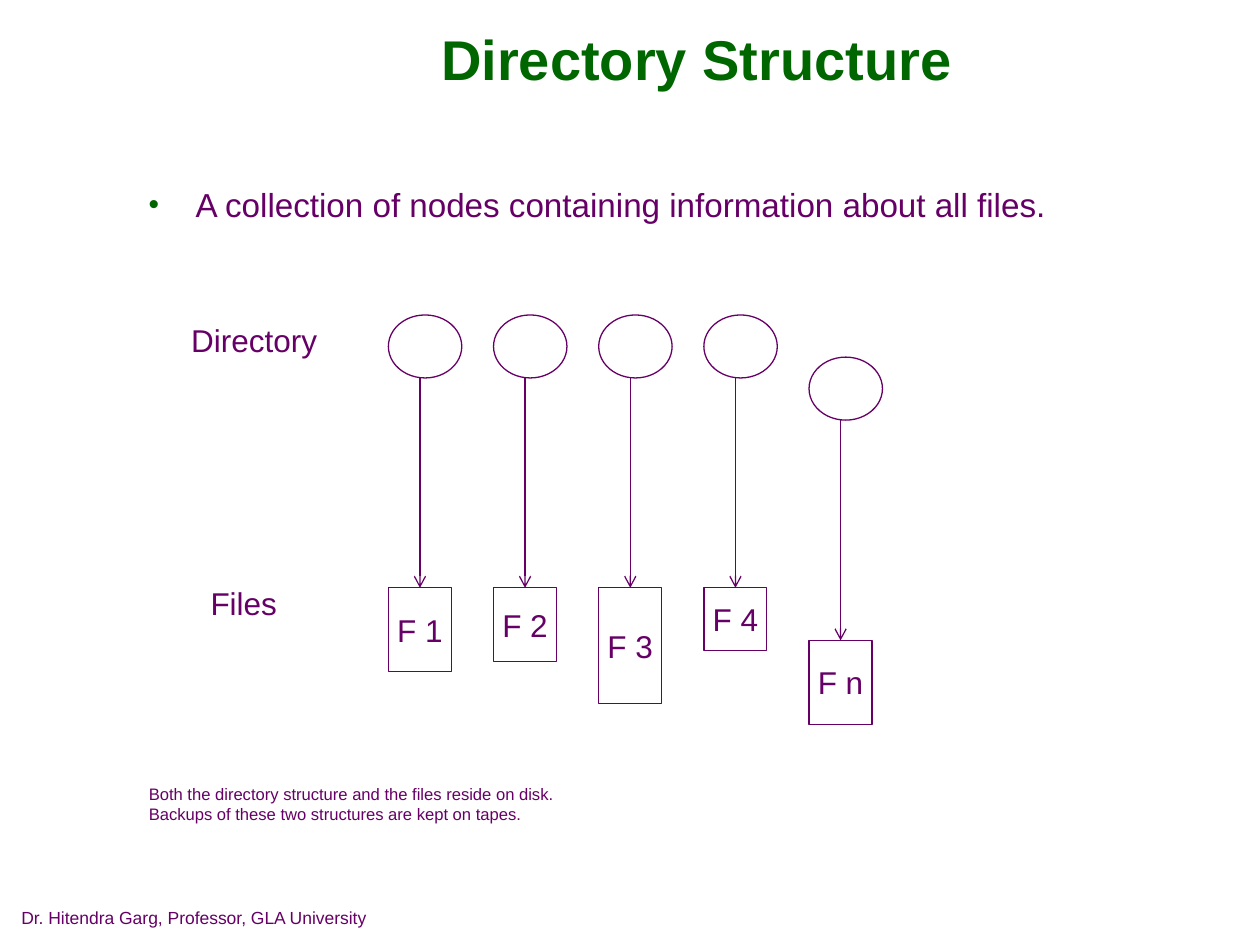
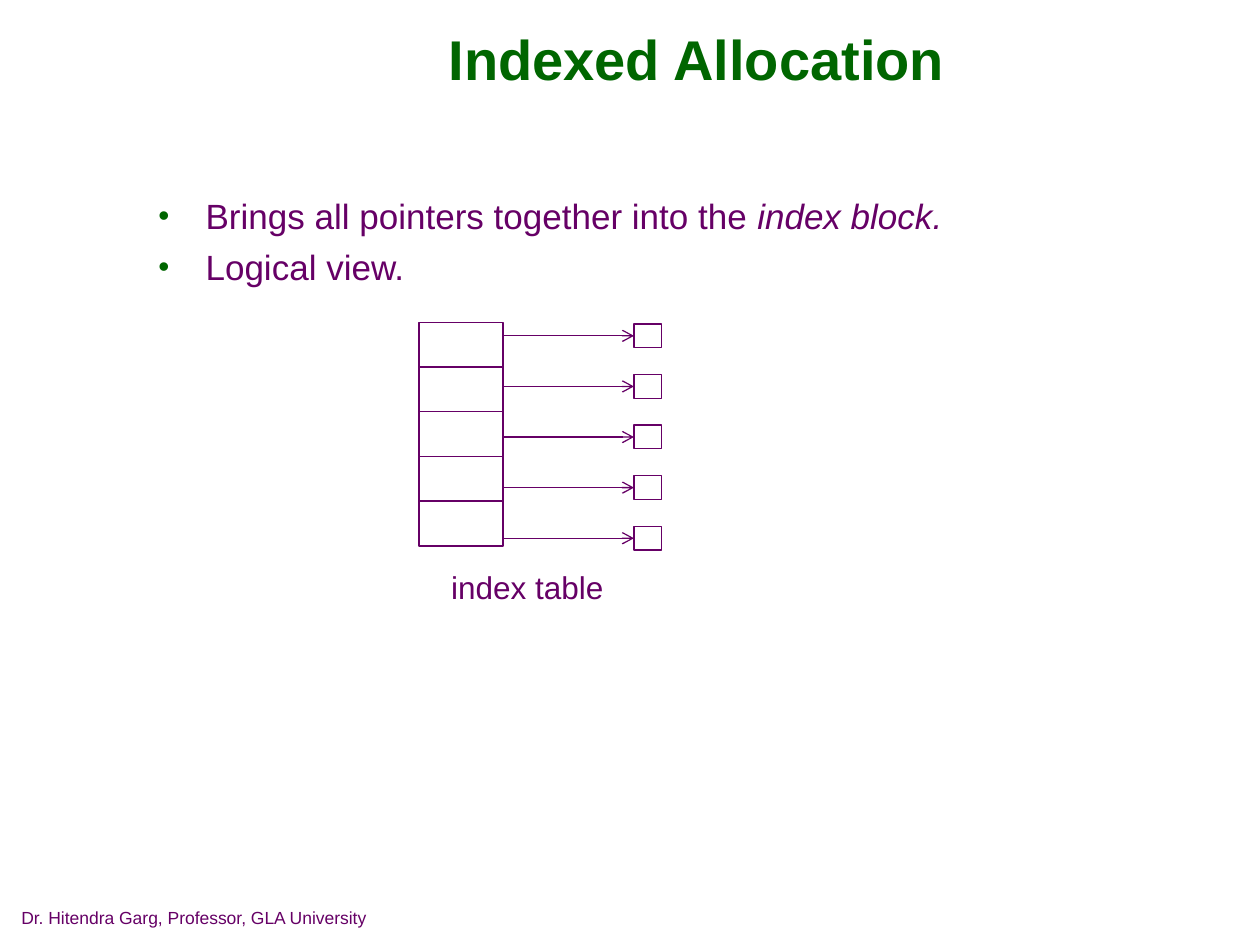
"""Builds two slides on directory structure and indexed file allocation."""
from lxml.etree import SubElement
from pptx import Presentation
from pptx.dml.color import RGBColor
from pptx.enum.shapes import MSO_CONNECTOR as Connector, MSO_SHAPE as Preset
from pptx.enum.text import MSO_ANCHOR as Anchor, MSO_AUTO_SIZE as AutoSize, PP_ALIGN as Align
from pptx.oxml.ns import qn
from pptx.util import Cm, Pt

COLORS = {"title": "006600", "ink": "660066", "paper": "FFFFFF"}
FONT = "Arial"
FOOTER = "Dr. Hitendra Garg, Professor, GLA University"
TOP, LEFT = 0, 1
LINE_WIDTH = 0.75


def color(name):
    return RGBColor.from_string(COLORS[name])


def place(shape, left, top, width, height):
    shape.left, shape.top = Cm(left), Cm(top)
    shape.width, shape.height = Cm(width), Cm(height)


def add_run(paragraph, text, size, color_name="ink", bold=False, italic=False):
    run = paragraph.add_run()
    run.text = text
    font = run.font
    font.name, font.size, font.bold, font.italic = FONT, Pt(size), bold, italic
    font.color.rgb = color(color_name)


def paragraphs_for(frame, count):
    for _ in range(count - 1):
        frame.add_paragraph()
    return frame.paragraphs


def add_bullet(paragraph):
    properties = paragraph._p.get_or_add_pPr()
    properties.set("marL", str(Cm(0.95)))
    properties.set("indent", str(-Cm(0.95)))
    bullet_color = SubElement(properties, qn("a:buClr"))
    SubElement(bullet_color, qn("a:srgbClr"), val=COLORS["title"])
    SubElement(properties, qn("a:buSzPct"), val="90000")
    SubElement(properties, qn("a:buFont"), typeface=FONT)
    SubElement(properties, qn("a:buChar"), char="•")


def add_text(slide, lines, box, size):
    text_box = slide.shapes.add_textbox(*map(Cm, box))
    frame = text_box.text_frame
    frame.word_wrap = True
    for paragraph, line in zip(paragraphs_for(frame, len(lines)), lines):
        add_run(paragraph, line, size)


def center_text(frame, text):
    frame.word_wrap = False
    frame.vertical_anchor = Anchor.MIDDLE
    paragraph = frame.paragraphs[0]
    paragraph.alignment = Align.CENTER
    add_run(paragraph, text, 18)


def add_label(slide, text, box):
    text_box = slide.shapes.add_textbox(*map(Cm, box))
    center_text(text_box.text_frame, text)


def add_outline(slide, preset, left, top, width, height, text=None):
    shape = slide.shapes.add_shape(preset, Cm(left), Cm(top), Cm(width), Cm(height))
    shape.shadow.inherit = False
    shape.fill.solid()
    shape.fill.fore_color.rgb = color("paper")
    shape.line.color.rgb = color("ink")
    shape.line.width = Pt(LINE_WIDTH)
    if text:
        center_text(shape.text_frame, text)
    return shape


def add_arrow(slide, start, end, target, side):
    arrow = slide.shapes.add_connector(Connector.STRAIGHT, *map(Cm, start + end))
    arrow.end_connect(target, side)
    arrow.line.color.rgb = color("ink")
    arrow.line.width = Pt(LINE_WIDTH)
    SubElement(arrow.line._get_or_add_ln(), qn("a:tailEnd"), type="arrow")
    SubElement(arrow._element.spPr, qn("a:effectLst"))


def add_slide(presentation, title, bullets, body_box, body_size):
    slide = presentation.slides.add_slide(presentation.slide_layouts[1])
    heading, body = slide.shapes.title, slide.placeholders[1]
    place(heading, 3.25, 0, 21.59, 2.34)
    place(body, *body_box)
    for shape, anchor in ((heading, Anchor.MIDDLE), (body, Anchor.TOP)):
        shape.text_frame.auto_size = AutoSize.NONE
        shape.text_frame.vertical_anchor = anchor
    paragraph = heading.text_frame.paragraphs[0]
    paragraph.alignment = Align.CENTER
    add_run(paragraph, title, 32, "title", bold=True)

    paragraphs = paragraphs_for(body.text_frame, len(bullets))
    for index, (paragraph, runs) in enumerate(zip(paragraphs, bullets)):
        add_bullet(paragraph)
        paragraph.space_before = Pt(5 if index else 0)
        for text, italic in runs:
            add_run(paragraph, text, body_size, italic=italic)
    add_text(slide, [FOOTER], (0.18, 18.16, 8.05, 0.89), 10)
    return slide


def add_directory_slide(presentation):
    slide = add_slide(
        presentation, "Directory Structure",
        [[("A collection of nodes containing information about all files.", False)]],
        (2.74, 3.59, 19.53, 1.07), 19)
    node_height, file_width = 1.27, 1.27
    files = [
        ("F 1", 1.69, 6.35, 11.85),
        ("F 2", 1.48, 6.35, 11.85),
        ("F 3", 2.33, 6.35, 11.85),
        ("F 4", 1.27, 6.35, 11.85),
        ("F n", 1.69, 7.2, 12.91),
    ]
    for index, (name, file_height, node_top, file_top) in enumerate(files):
        left = 7.83 + 2.12 * index
        add_outline(slide, Preset.OVAL, left, node_top, 1.48, node_height)
        file_box = add_outline(slide, Preset.RECTANGLE, left, file_top,
                               file_width, file_height, name)
        arrow_x = left + file_width / 2
        add_arrow(slide, (arrow_x, node_top + node_height), (arrow_x, file_top),
                  file_box, TOP)
    add_label(slide, "Directory", (3.6, 6.35, 3.05, 1.02))
    add_label(slide, "Files", (3.99, 11.65, 1.85, 1.02))
    add_text(slide, ["Both the directory structure and the files reside on disk.",
                     "Backups of these two structures are kept on tapes."],
             (2.75, 15.67, 19.53, 1.07), 9.5)


def add_index_slide(presentation):
    slide = add_slide(
        presentation, "Indexed Allocation",
        [[("Brings all pointers together into the ", False), ("index block.", True)],
         [("Logical view.", False)]],
        (2.94, 3.8, 19.53, 2.36), 20)
    cell_left, cell_width = 8.45, 1.69
    block_left, block_height = 12.78, 0.48
    for index in range(5):
        block_top = 6.53 + 1.02 * index
        add_outline(slide, Preset.RECTANGLE, cell_left, 6.5 + 0.9 * index, cell_width, 0.91)
        block = add_outline(slide, Preset.RECTANGLE, block_left, block_top, 0.56, block_height)
        arrow_y = block_top + block_height / 2
        add_arrow(slide, (cell_left + cell_width, arrow_y), (block_left, arrow_y), block, LEFT)
    add_label(slide, "index table", (8.84, 11.33, 3.58, 1.02))


def main():
    presentation = Presentation()
    presentation.slide_width, presentation.slide_height = Cm(25.4), Cm(19.05)
    add_directory_slide(presentation)
    add_index_slide(presentation)
    presentation.save("out.pptx")


if __name__ == "__main__":
    main()
